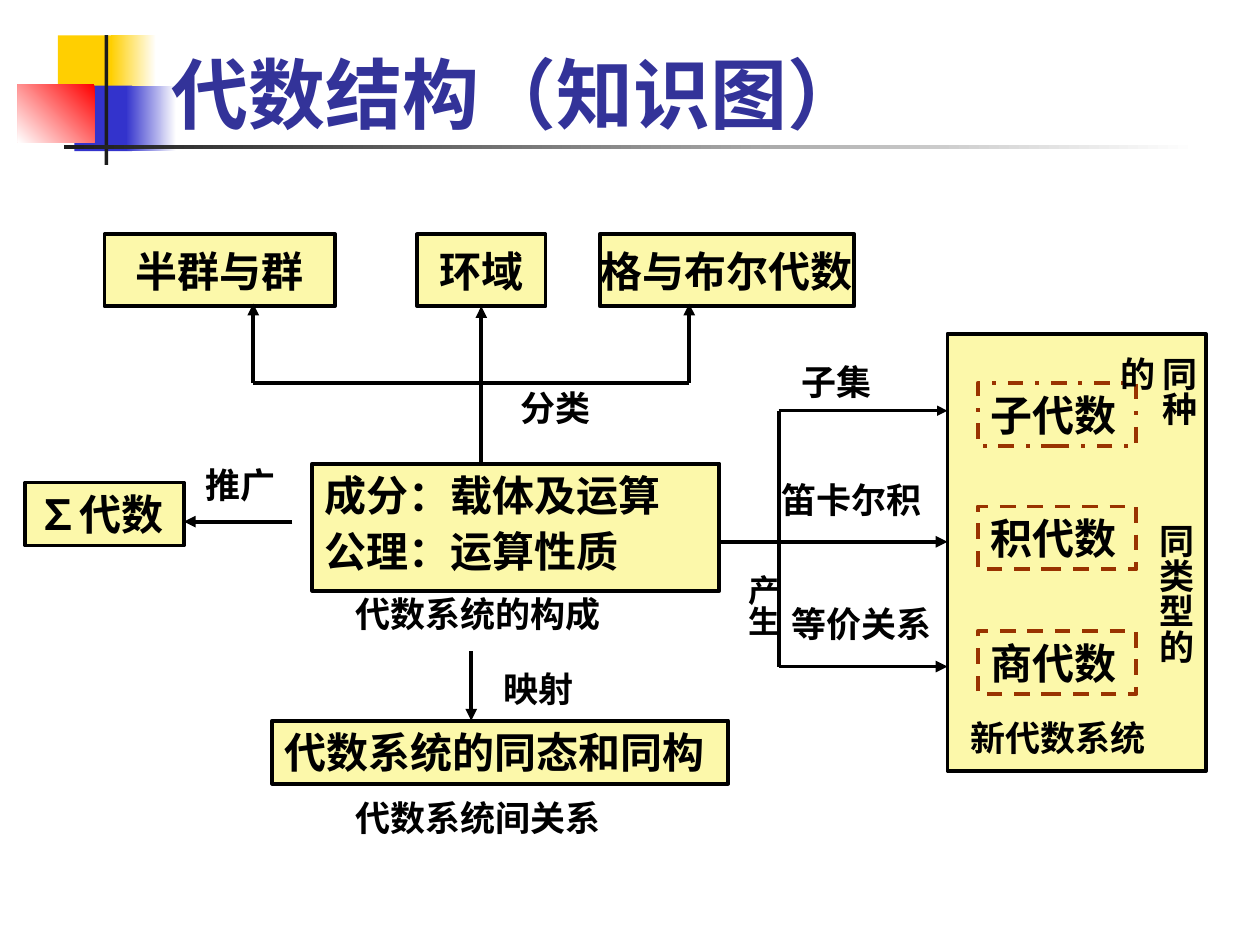
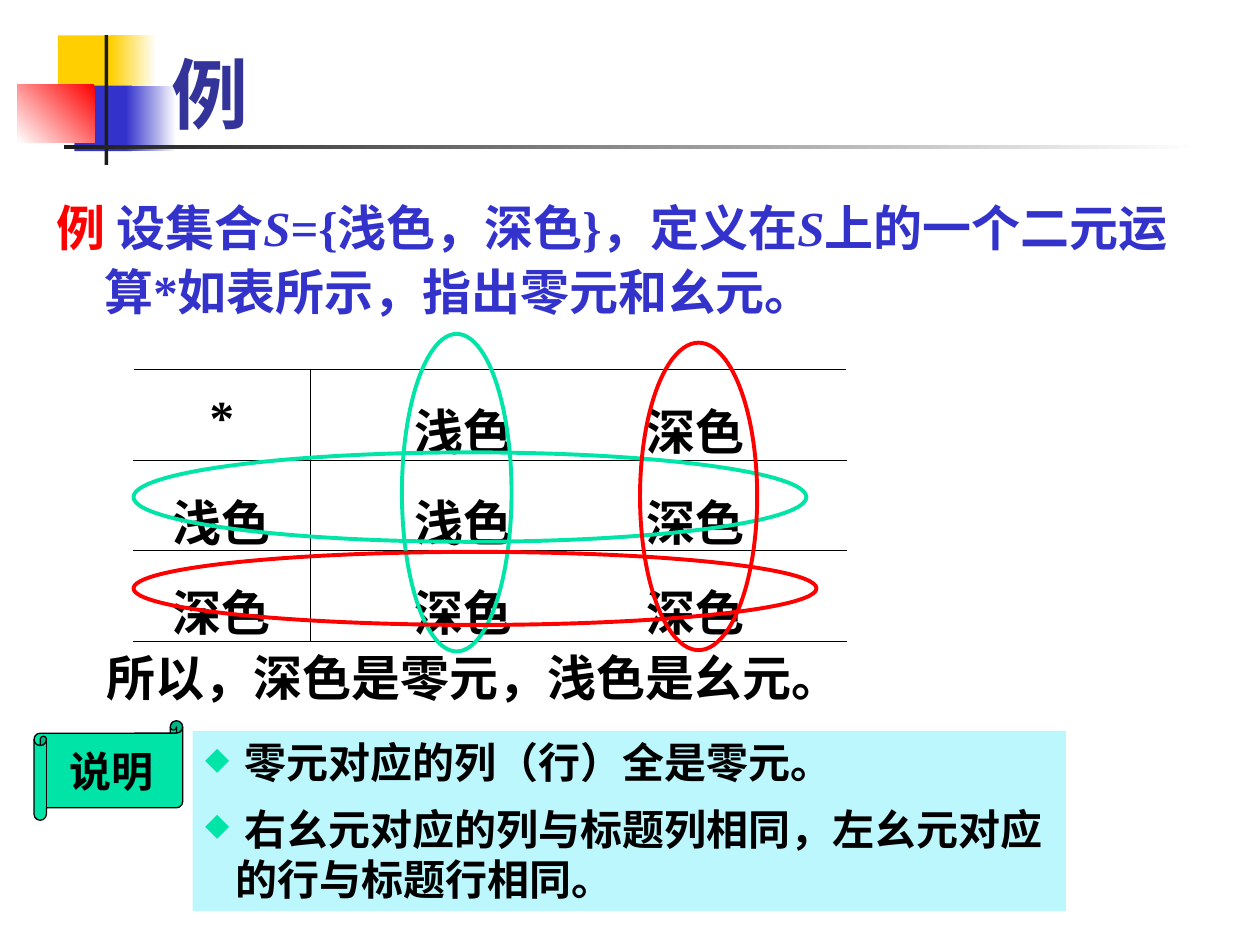
from lxml.etree import SubElement
from pptx import Presentation
from pptx.dml.color import RGBColor
from pptx.enum.dml import MSO_LINE
from pptx.enum.shapes import MSO_CONNECTOR, MSO_SHAPE
from pptx.enum.text import MSO_ANCHOR, PP_ALIGN
from pptx.oxml.ns import qn
from pptx.util import Inches, Pt

BLACK, WHITE, RED = "000000", "FFFFFF", "FF0000"
GOLD, BLUE, NAVY, DARK = "FFCF01", "3333CC", "333399", "1C1C1C"
CREAM, RUST, MINT, AQUA = "FCF8AA", "993300", "00E4A8", "BBF7FD"
SANS, SERIF = "Cabin", "Times New Roman"


def color(code):
    """Turn a hex string into a colour."""
    return RGBColor.from_string(code)


def place(*spot):
    """Turn numbers into lengths in inches."""
    return [Inches(n) for n in spot]


def write(frame, *paras, size=20, font=SANS, ink=BLACK, align=None, space=0,
          lead=None, hang=0, bullet=None):
    """Fill a frame; a paragraph is a string or a list of (text, format) runs."""
    for i, runs in enumerate(paras):
        para = frame.paragraphs[0] if i == 0 else frame.add_paragraph()
        props = para._p.get_or_add_pPr()
        if hang:
            props.set("marL", str(Inches(hang)))
            props.set("indent", str(-Inches(hang)))
        if align:
            para.alignment = align
        if lead:
            para.line_spacing = lead
        if i and space:
            para.space_before = Pt(space)
        if bullet:
            tint = SubElement(props, qn("a:buClr"))
            SubElement(tint, qn("a:srgbClr"), val=bullet)
            SubElement(props, qn("a:buSzPct"), val="75000")
            SubElement(props, qn("a:buChar"), char="◆")
        for words, style in [(runs, {})] if isinstance(runs, str) else runs:
            run = para.add_run()
            run.text = words
            run.font.size, run.font.name, run.font.bold = Pt(size), font, True
            run.font.color.rgb = color(style.get("ink", ink))
            if style.get("slant"):
                run.font.italic = True


def label(slide, spot, *paras, anchor=MSO_ANCHOR.TOP, vert=False, **style):
    """Add a text box, set upright when vert is true."""
    frame = slide.shapes.add_textbox(*place(*spot)).text_frame
    frame.word_wrap = True
    frame.vertical_anchor = anchor
    if vert:
        frame._txBody.bodyPr.set("vert", "eaVert")
        frame.margin_left = frame.margin_right = Inches(0.05)
        frame.margin_top = frame.margin_bottom = Inches(0.1)
    write(frame, *paras, **style)


def shape(slide, spot, *paras, kind=MSO_SHAPE.RECTANGLE, fill=None, fade=None,
          edge=None, width=2.25, dash=None, mid=False, size=24, **style):
    """Add a preset shape; fade is (start, end, angle), mid centres the text."""
    item = slide.shapes.add_shape(kind, *place(*spot))
    item.shadow.inherit = False
    if fade:
        item.fill.gradient()
        item.fill.gradient_angle = fade[2]
        for stop, code in zip(item.fill.gradient_stops, fade):
            stop.color.rgb = color(code)
    elif fill:
        item.fill.solid()
        item.fill.fore_color.rgb = color(fill)
    else:
        item.fill.background()
    if edge:
        item.line.color.rgb = color(edge)
        item.line.width = Pt(width)
        item.line.dash_style = dash
    else:
        item.line.fill.background()
    frame = item.text_frame
    frame.word_wrap = not mid
    frame.vertical_anchor = MSO_ANCHOR.MIDDLE if mid else MSO_ANCHOR.TOP
    align = PP_ALIGN.CENTER if mid else PP_ALIGN.LEFT
    write(frame, *paras, size=size, align=align, **style)
    return item


def box(slide, spot, *paras, **style):
    """Add a cream box with a black edge."""
    return shape(slide, spot, *paras, fill=CREAM, edge=BLACK, **style)


def link(slide, *ends, arrow=True, ink=BLACK, width=2.25):
    """Add a straight line, by default with an arrowhead."""
    line = slide.shapes.add_connector(MSO_CONNECTOR.STRAIGHT, *place(*ends))
    line.line.color.rgb = color(ink)
    line.line.width = Pt(width)
    if arrow:
        SubElement(line.line._get_or_add_ln(), qn("a:tailEnd"), type="triangle")
    SubElement(line._element.spPr, qn("a:effectLst"))
    return line


def border(cell, *sides):
    """Draw thin black borders on the given sides of a cell."""
    props = cell._tc.get_or_add_tcPr()
    for side in sides:
        line = SubElement(props, qn("a:ln" + side), w=str(Pt(0.45)))
        fill = SubElement(line, qn("a:solidFill"))
        SubElement(fill, qn("a:srgbClr"), val=BLACK)


def start(deck, title):
    """Add a slide with the shared band and a title."""
    slide = deck.slides.add_slide(deck.slide_layouts[6])
    shape(slide, (0.46, 0.28, 0.48, 0.52), fill=GOLD)
    shape(slide, (0.88, 0.28, 0.36, 0.52), fade=(WHITE, GOLD, 180))
    shape(slide, (0.59, 0.68, 0.46, 0.52), fill=BLUE)
    shape(slide, (1, 0.68, 0.4, 0.52), fade=(WHITE, BLUE, 180))
    shape(slide, (0.14, 0.67, 0.61, 0.46), fade=(RED, WHITE, 225))
    shape(slide, (0.83, 0.28, 0.03, 1.03), fill=DARK)
    shape(slide, (0.51, 1.15, 9, 0.03), fade=(WHITE, DARK, 180))
    label(slide, (1.26, 0.08, 8.52, 1.07), title, size=44, ink=NAVY,
          anchor=MSO_ANCHOR.BOTTOM)
    return slide


def draw_map(deck):
    """Build the knowledge map."""
    slide = start(deck, "代数结构（知识图）")
    box(slide, (2.48, 3.68, 3.23, 1.01), "成分：载体及运算", "公理：运算性质", space=3)

    kinds = [box(slide, (left, 1.86, wide, 0.57), name, mid=True)
             for name, left, wide in (("半群与群", 0.83, 1.83), ("环域", 3.31, 1.02),
                                      ("格与布尔代数", 4.76, 2.02))]
    link(slide, 3.82, 3.67, 3.82, 2.43).end_connect(kinds[1], 2)
    link(slide, 2.01, 3.04, 5.47, 3.04, arrow=False)
    for x in (2.01, 5.47):
        link(slide, x, 3.04, x, 2.41)

    box(slide, (7.52, 2.65, 2.05, 3.47))
    link(slide, 6.18, 3.26, 6.18, 5.29, arrow=False)
    for y, left, width in ((3.26, 6.18, 1.5), (4.3, 5.71, 2.25), (5.29, 6.18, 2.25)):
        link(slide, left, y, 7.52, y, width=width)
    for name, top, dash in (("子代数", 3.04, MSO_LINE.DASH_DOT),
                            ("积代数", 4.02, MSO_LINE.DASH),
                            ("商代数", 5.01, MSO_LINE.DASH)):
        shape(slide, (7.76, top, 1.26, 0.5), name, edge=RUST, dash=dash)

    box(slide, (0.2, 3.83, 1.26, 0.5), "∑代数")
    link(slide, 2.32, 4.14, 1.46, 4.14)
    box(slide, (2.16, 5.72, 3.62, 0.5), "代数系统的同态和同构")
    link(slide, 3.74, 5.17, 3.74, 5.72)
    link(slide, 3.03, 4.3, 3.03, 4.3, ink=RUST, width=1.5)

    for words, left, top, wide in (
            ("新代数系统", 7.6, 5.64, 1.89), ("子集", 6.26, 2.81, 0.87),
            ("笛卡尔积", 6.1, 3.75, 1.42), ("等价关系", 6.18, 4.73, 1.5),
            ("推广", 1.53, 3.63, 0.79), ("代数系统的构成", 2.72, 4.65, 2.28),
            ("映射", 3.9, 5.25, 1.18), ("代数系统间关系", 2.72, 6.27, 2.36)):
        label(slide, (left, top, wide, 0.44), words)
    label(slide, (3.78, 3.04, 1.26, 0.38), "分类", align=PP_ALIGN.CENTER,
          anchor=MSO_ANCHOR.MIDDLE)
    label(slide, (5.76, 4.46, 0.5, 0.95), "产生", size=18, vert=True)
    label(slide, (9.04, 2.73, 0.53, 0.95), "同种的", vert=True)
    label(slide, (9.02, 4.06, 0.53, 1.5), "同类型的", vert=True)


def draw_table(slide):
    """Add the operation table."""
    rows = (("*", "浅色\t深色"), ("浅色", "浅色\t深色"), ("深色", "深色\t深色"))
    table = slide.shapes.add_table(3, 2, *place(1.06, 2.93, 5.66, 2.16)).table
    table.first_row = table.horz_banding = False
    table.columns[0].width, table.columns[1].width = place(1.4, 4.26)
    for r, row in enumerate(rows):
        table.rows[r].height = Inches(0.72)
        for c, words in enumerate(row):
            cell = table.cell(r, c)
            border(cell, "L" if c else "R", "T", "B")
            cell.fill.background()
            cell.margin_top = Inches(0.14)
            if c:
                cell.margin_left = Inches(0.83)
                props = cell.text_frame.paragraphs[0]._p.get_or_add_pPr()
                tabs = SubElement(props, qn("a:tabLst"))
                SubElement(tabs, qn("a:tab"), pos=str(Inches(1.84)), algn="l")
            write(cell.text_frame, words, size=28, font=SERIF, lead=1.1,
                  align=PP_ALIGN.LEFT if c else PP_ALIGN.CENTER)


def draw_case(deck):
    """Build the worked example."""
    slide = start(deck, "例")
    label(slide, (0.35, 1.47, 9.29, 1.42),
          [("例 ", {"ink": RED}), ("设集合", {}), ("S", {"slant": True}),
           ("={浅色，深色}，定义在", {}), ("S", {"slant": True}),
           ("上的一个二元运算*如表所示，指出零元和幺元。", {})],
          size=28, font=SERIF, ink=BLUE, lead=1.1, hang=0.38)
    draw_table(slide)
    for spot, ink in (((3.19, 2.65, 0.87, 2.52), MINT), ((1.06, 3.59, 5.34, 0.71), MINT),
                      ((5.08, 2.72, 0.93, 2.44), RED), ((1.06, 4.38, 5.42, 0.58), RED)):
        shape(slide, spot, kind=MSO_SHAPE.OVAL, edge=ink)
    shape(slide, (1.53, 5.8, 6.93, 1.43), " 零元对应的列（行）全是零元。",
          " 右幺元对应的列与标题列相同，左幺元对应的行与标题行相同。",
          fill=AQUA, font=SERIF, space=9, hang=0.24, bullet=MINT)
    shape(slide, (0.27, 5.72, 1.18, 0.79), "说明", kind=MSO_SHAPE.HORIZONTAL_SCROLL,
          fill=MINT, edge=BLACK, width=0.75, mid=True)
    label(slide, (0.75, 5.09, 8.03, 0.57), "所以，深色是零元，浅色是幺元。", size=28)


def main():
    """Build and save the deck."""
    deck = Presentation()
    deck.slide_width, deck.slide_height = place(10, 7.5)
    draw_map(deck)
    draw_case(deck)
    deck.save("out.pptx")


if __name__ == "__main__":
    main()
